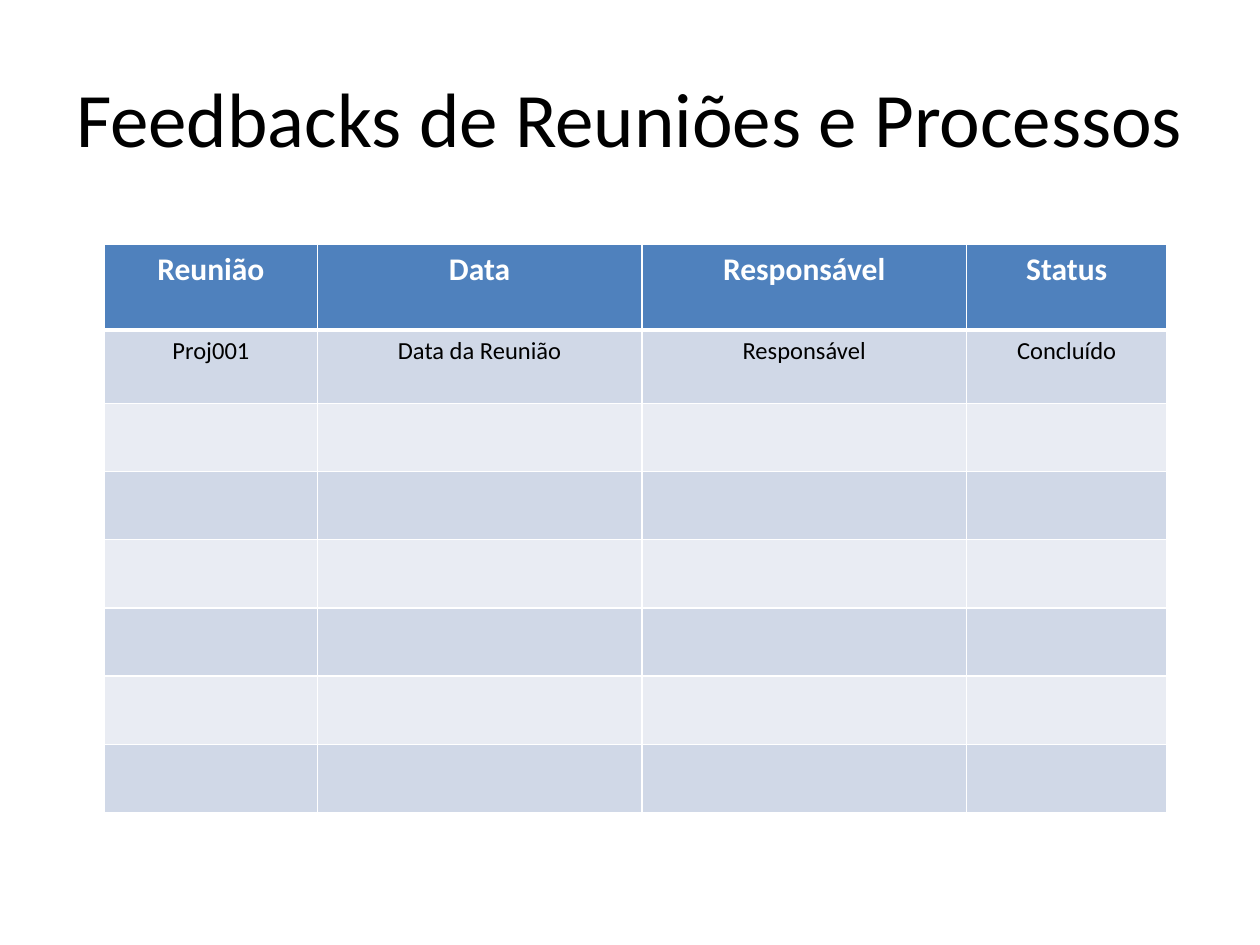
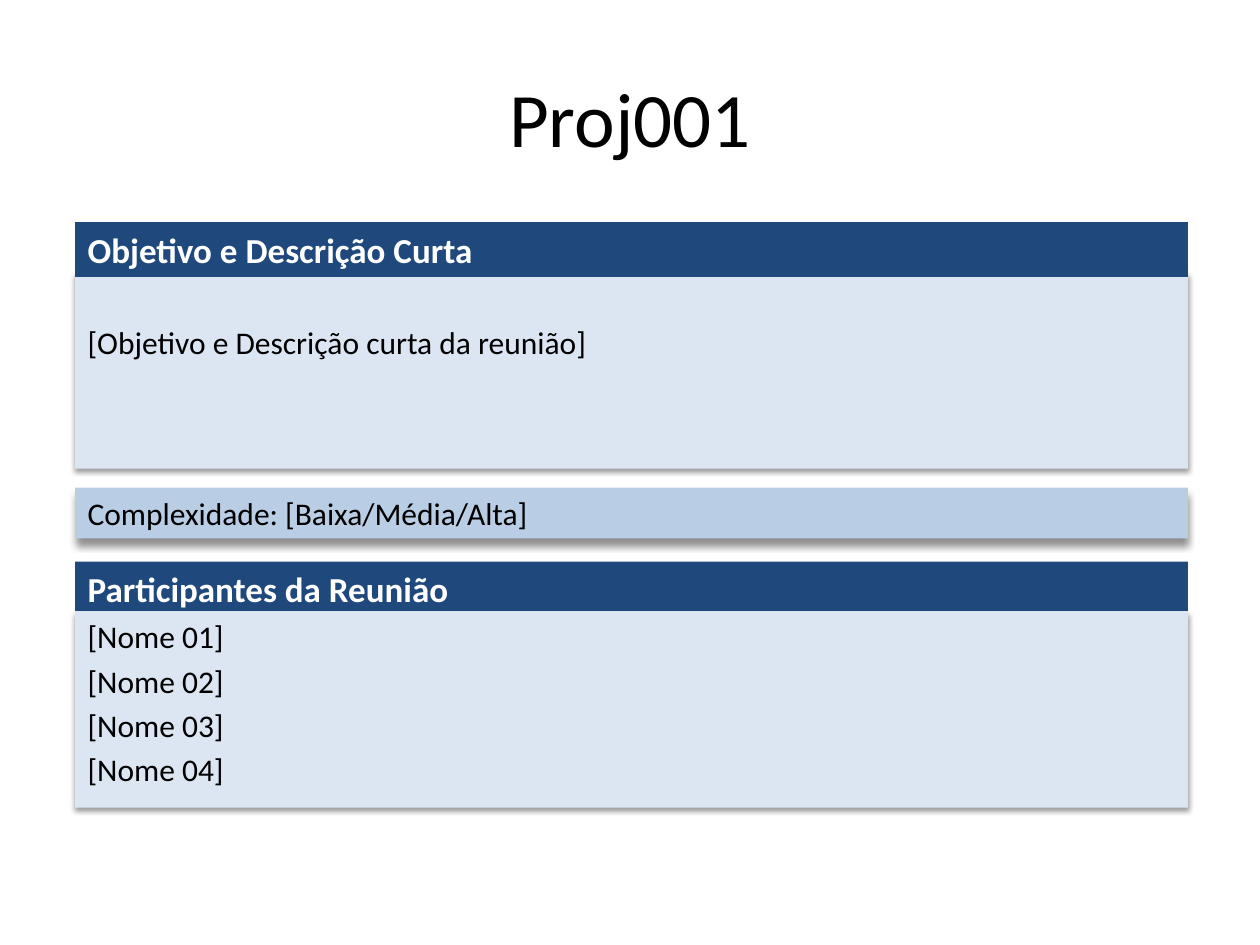
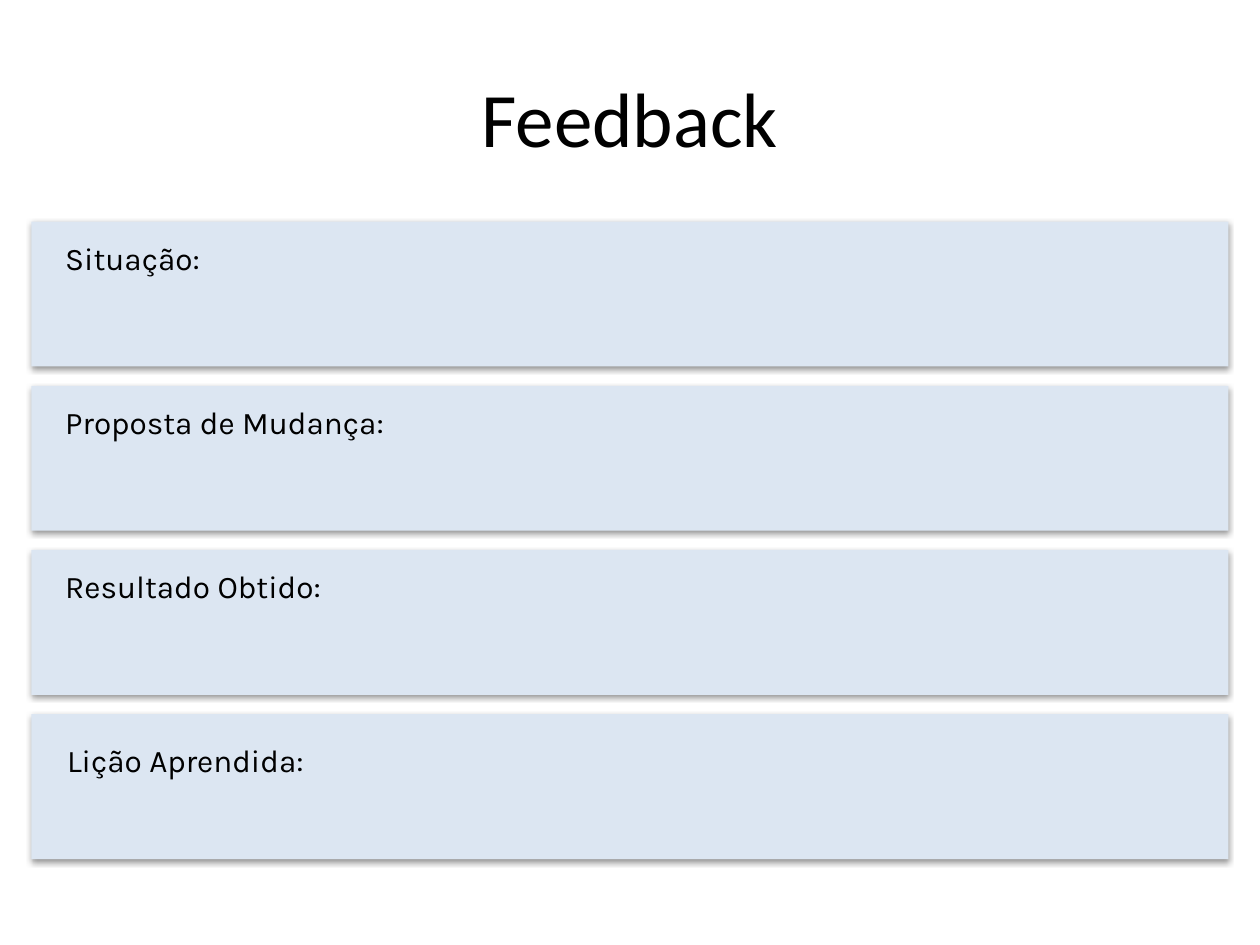
from lxml import etree
from pptx import Presentation
from pptx.dml.color import RGBColor
from pptx.enum import shapes, text
from pptx.oxml import parse_xml
from pptx.util import Pt

# Shared colours
WHITE = RGBColor(0xFF, 0xFF, 0xFF)
BLACK = RGBColor(0x00, 0x00, 0x00)
NAVY = RGBColor(0x1F, 0x49, 0x7D)
HEADER_BLUE = RGBColor(0x4F, 0x81, 0xBD)
BAND_DARK = RGBColor(0xD0, 0xD8, 0xE7)
BAND_LIGHT = RGBColor(0xE9, 0xEC, 0xF3)
PANEL_BLUE = RGBColor(0xDC, 0xE6, 0xF2)
STRIP_BLUE = RGBColor(0xB9, 0xCD, 0xE5)

# Shared text formats
TITLE = {"name": "Calibri", "size": Pt(44), "bold": False}
COLUMN_HEAD = {"name": "Calibri", "size": Pt(18), "bold": True}
CELL = {"name": "Calibri", "size": Pt(14), "bold": False}
HEADING = {"name": "Calibri", "size": Pt(20), "bold": True}
BODY = {"name": "Calibri", "size": Pt(18), "bold": False}
LABEL = {"name": "Karla", "size": Pt(18), "bold": False}

# Shadows: opacity in percent, blur and distance in points
SOFT_SHADOW = (38, 3.1, 1.6)
STRONG_SHADOW = (44, 4, 4)

NS = 'xmlns:a="http://schemas.openxmlformats.org/drawingml/2006/main"'


def write(frame, lines, font_format, color=BLACK, align=text.PP_ALIGN.LEFT,
          anchor=text.MSO_ANCHOR.TOP, top=3.6):
    frame.word_wrap = True
    frame.vertical_anchor = anchor
    frame.margin_top = Pt(top)
    for index, line in enumerate(lines):
        paragraph = frame.add_paragraph() if index else frame.paragraphs[0]
        paragraph.alignment = align
        paragraph.space_before = Pt(3.6 if index else 0)
        run = paragraph.add_run()
        run.text = line
        for attribute, value in font_format.items():
            setattr(run.font, attribute, value)
        run.font.color.rgb = color


def add_panel(slide, left, top, width, height, fill, shadow=None):
    panel = slide.shapes.add_shape(shapes.MSO_SHAPE.RECTANGLE, Pt(left), Pt(top),
                                   Pt(width), Pt(height))
    panel.fill.solid()
    panel.fill.fore_color.rgb = fill
    panel.line.fill.background()
    panel.shadow.inherit = False
    if shadow:
        opacity, blur, distance = shadow
        effects = panel._element.spPr.find("{*}effectLst")
        effects.append(parse_xml(
            f'<a:outerShdw {NS} blurRad="{Pt(blur)}" dist="{Pt(distance)}" '
            f'dir="5400000" rotWithShape="0"><a:srgbClr val="{BLACK}">'
            f'<a:alpha val="{opacity * 1000}"/></a:srgbClr></a:outerShdw>'))
    return panel


deck = Presentation()
deck.slide_width, deck.slide_height = Pt(720), Pt(540)

# Slides with their titles
slides = []
for heading in ("Feedbacks de Reuniões e Processos", "Proj001", "Feedback"):
    slide = deck.slides.add_slide(deck.slide_layouts[6])
    title = slide.shapes.add_textbox(Pt(36), Pt(21.6), Pt(648), Pt(90))
    write(title.text_frame, [heading], TITLE, align=text.PP_ALIGN.CENTER,
          anchor=text.MSO_ANCHOR.MIDDLE)
    slides.append(slide)
overview, project, feedback = slides

# Slide 1: table of meetings
column_widths = [121.5, 185.5, 185.5, 114.5]
row_heights = [49, 41.8] + [39] * 6
meeting_rows = [
    ["Reunião", "Data", "Responsável", "Status"],
    ["Proj001", "Data da Reunião", "Responsável", "Concluído"],
]
meetings = overview.shapes.add_table(
    len(row_heights), len(column_widths), Pt(59.8), Pt(139.7),
    Pt(sum(column_widths)), Pt(sum(row_heights))).table
for column, width in zip(meetings.columns, column_widths):
    column.width = Pt(width)
for row_index, height in enumerate(row_heights):
    row = meetings.rows[row_index]
    row.height = Pt(height)
    is_header = row_index == 0
    for column_index, cell in enumerate(row.cells):
        cell.fill.solid()
        cell.fill.fore_color.rgb = (HEADER_BLUE if is_header else
                                    BAND_DARK if row_index % 2 else BAND_LIGHT)
        # White borders, thicker between the header and the first row
        border_widths = {"lnL": 0.96, "lnR": 0.96,
                         "lnT": 3 if row_index == 1 else 0.96,
                         "lnB": 3 if is_header else 0.96}
        for position, (side, width) in enumerate(border_widths.items()):
            cell._tc.get_or_add_tcPr().insert(position, etree.fromstring(
                f'<a:{side} {NS} w="{Pt(width)}"><a:solidFill>'
                f'<a:srgbClr val="{WHITE}"/></a:solidFill></a:{side}>'))
        if row_index < len(meeting_rows):
            write(cell.text_frame, [meeting_rows[row_index][column_index]],
                  COLUMN_HEAD if is_header else CELL,
                  WHITE if is_header else BLACK, text.PP_ALIGN.CENTER)

# Slide 2: top, height, fill, shadow, lines, format, colour, top inset
project_parts = [
    (155.5, 112.3, PANEL_BLUE, SOFT_SHADOW,
     ["[Objetivo e Descrição curta da reunião]"], BODY, BLACK, 29.2),
    (126.9, 31.3, NAVY, None,
     ["Objetivo e Descrição Curta"], HEADING, WHITE, 3.6),
    (278.7, 29, STRIP_BLUE, STRONG_SHADOW,
     ["Complexidade: [Baixa/Média/Alta]"], BODY, BLACK, 3.6),
    (321, 31.3, NAVY, None,
     ["Participantes da Reunião"], HEADING, WHITE, 3.6),
    (349.3, 112.3, PANEL_BLUE, SOFT_SHADOW,
     [f"[Nome {number:02}]" for number in range(1, 5)], BODY, BLACK, 3.6),
]
for top, height, fill, shadow, lines, font_format, color, inset in project_parts:
    part = add_panel(project, 43, top, 635.8, height, fill, shadow)
    write(part.text_frame, lines, font_format, color, top=inset)

# Slide 3: four equal panels, then their labels
FIRST_TOP, PITCH = 126.6, 93.84
questions = [("Situação:", 30.2, 6.2), ("Proposta de Mudança:", 30.2, 6.2),
             ("Resultado Obtido:", 30.2, 6.2), ("Lição Aprendida:", 31.2, 11.6)]
for index in range(len(questions)):
    add_panel(feedback, 18, FIRST_TOP + index * PITCH, 684, 82.8, PANEL_BLUE,
              SOFT_SHADOW)
for index, (question, left, offset) in enumerate(questions):
    label = feedback.shapes.add_textbox(
        Pt(left), Pt(FIRST_TOP + index * PITCH + offset), Pt(660), Pt(100))
    write(label.text_frame, [question], LABEL)

deck.save("out.pptx")
